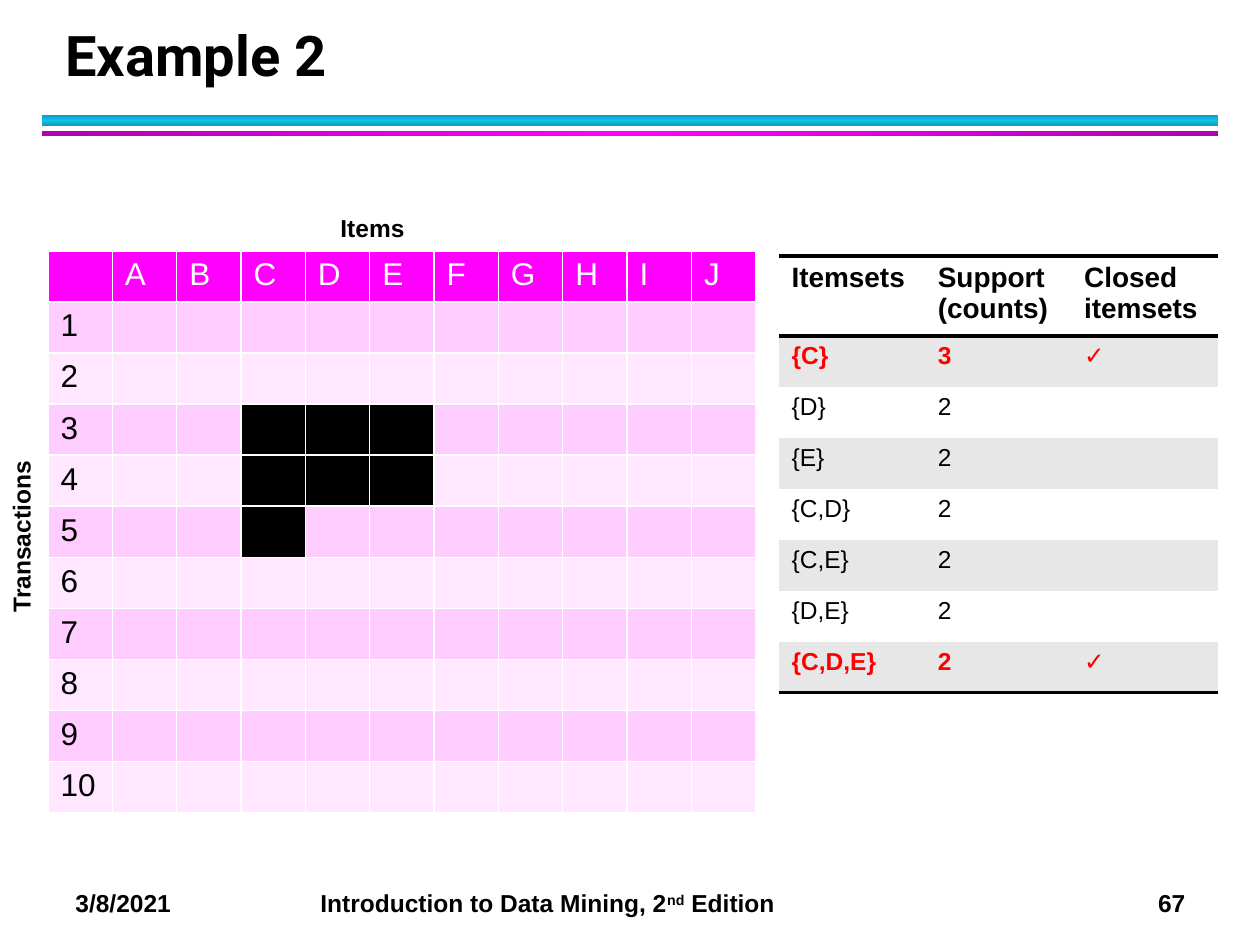
from lxml.etree import SubElement
from pptx import Presentation
from pptx.dml.color import RGBColor
from pptx.enum.shapes import MSO_SHAPE
from pptx.enum.text import MSO_ANCHOR
from pptx.oxml.ns import qn
from pptx.util import Pt

PX = 914400 / 126
NO_STYLE = "{2D5ABB26-0587-4C30-8999-92F81FD0307C}"
BLACK, WHITE, RED = "000000", "FFFFFF", "FF0000"

RULES = [
    ((42, 115, 1176, 11), 90, ("0E9BBA", "12C2E9", "0E9BBA")),
    ((42, 131, 1176, 5), 0, ("B200B2", "FF00FF", "B200B2")),
]
LABELS = [
    ("Items", (328, 207, 97, 50), 0),
    ("Transactions", (-68, 507, 186, 50), 270),
]
FOOTER = [
    ("3/8/2021\tIntroduction to Data Mining, 2", False),
    ("nd", True),
    (" Edition\t67", False),
]
FOOTER_TABS = [(245, "l"), (1110, "r")]

ITEMS = "ABCDEFGHIJ"
TRANSACTIONS = {n: "" for n in range(1, 11)} | {3: "CDE", 4: "CDE", 5: "C"}
GRID_FRAME = (48, 251, 708, 562)

ITEMSETS = [
    ("Itemsets", "Support\n(counts)", "Closed itemsets"),
    ("{C}", "3", "✓"),
    ("{D}", "2", ""),
    ("{E}", "2", ""),
    ("{C,D}", "2", ""),
    ("{C,E}", "2", ""),
    ("{D,E}", "2", ""),
    ("{C,D,E}", "2", "✓"),
]
ITEMSETS_FRAME = (779, 256, 439, 437)
ITEMSETS_HEADER = 80


def color(value):
    return RGBColor.from_string(value)


def emu(*lengths):
    return [round(length * PX) for length in lengths]


def style(frame, size, fill=BLACK, bold=True, font="Arial"):
    for para in frame.paragraphs:
        for span in para.runs:
            span.font.size = Pt(size)
            span.font.name = font
            span.font.bold = bold
            span.font.color.rgb = color(fill)


def add_text(page, text, place, wrap=True):
    box = page.shapes.add_textbox(*emu(*place))
    box.text_frame.text = text
    box.text_frame.word_wrap = wrap
    return box


def add_rule(page, place, angle, colors):
    bar = page.shapes.add_shape(MSO_SHAPE.RECTANGLE, *emu(*place))
    bar.shadow.inherit = False
    bar.line.fill.background()
    bar.fill.gradient()
    bar.fill.gradient_angle = angle
    stops = bar.fill._fill._gradFill.find(qn("a:gsLst"))
    stops.clear()
    for index, value in enumerate(colors):
        stop = SubElement(stops, qn("a:gs"), pos=str(index * 50000))
        SubElement(stop, qn("a:srgbClr"), val=value)


def add_footer(page):
    box = add_text(page, "", (63, 882, 1176, 43))
    para = box.text_frame.paragraphs[0]
    tabs = SubElement(para._p.get_or_add_pPr(), qn("a:tabLst"))
    for position, align in FOOTER_TABS:
        SubElement(tabs, qn("a:tab"), pos=str(emu(position)[0]), algn=align)
    for text, raised in FOOTER:
        span = para.add_run()
        span.text = text
        if raised:
            span.font._element.set("baseline", "30000")
    style(box.text_frame, 14)


def add_plain_table(page, place, rows, columns, header):
    left, top, width, height = place
    table = page.shapes.add_table(rows, columns, *emu(*place)).table
    table.first_row = table.horz_banding = False
    table._tbl.tblPr.find(qn("a:tableStyleId")).text = NO_STYLE
    for column in table.columns:
        column.width = emu(width / columns)[0]
    for index, row in enumerate(table.rows):
        row.height = emu(header if index == 0 else (height - header) / (rows - 1))[0]
    return table


def paint(cell, fill, borders):
    props = cell._tc.get_or_add_tcPr()
    for side, (value, points) in borders.items():
        line = SubElement(props, qn(f"a:ln{side}"), w=str(Pt(points)))
        SubElement(SubElement(line, qn("a:solidFill")), qn("a:srgbClr"), val=value)
    cell.fill.solid()
    cell.fill.fore_color.rgb = color(fill)


def add_grid(page):
    rows, columns = len(TRANSACTIONS) + 1, len(ITEMS) + 1
    table = add_plain_table(page, GRID_FRAME, rows, columns, GRID_FRAME[3] / rows)
    for row in range(rows):
        band = "FF00FF" if row == 0 else "FFCCFF" if row % 2 else "FFE7FF"
        for column in range(columns):
            item = ITEMS[column - 1] if column else ""
            bought = row and item and item in TRANSACTIONS[row]
            cell = table.cell(row, column)
            paint(cell, BLACK if bought else band, {side: (WHITE, 1) for side in "LRTB"})
            if row == 0 or column == 0:
                cell.text_frame.text = item if row == 0 else str(row)
                style(cell.text_frame, 18, BLACK if row else WHITE, bold=False)


def add_itemsets(page):
    last = len(ITEMSETS) - 1
    table = add_plain_table(page, ITEMSETS_FRAME, last + 1, len(ITEMSETS[0]), ITEMSETS_HEADER)
    for row, values in enumerate(ITEMSETS):
        closed = values[-1] == "✓"
        borders = {"T": (BLACK, 2)} if row == 0 else {}
        if row in (0, last):
            borders["B"] = (BLACK, 2)
        for column, value in enumerate(values):
            cell = table.cell(row, column)
            paint(cell, "E7E7E7" if row % 2 else WHITE, borders)
            cell.text_frame.text = value
            style(cell.text_frame, 14 if row else 16, RED if closed else BLACK, closed or row == 0)


def main():
    deck = Presentation()
    deck.slide_width, deck.slide_height = emu(1260, 945)
    page = deck.slides.add_slide(deck.slide_layouts[6])
    for place, angle, colors in RULES:
        add_rule(page, place, angle, colors)
    add_footer(page)
    title = add_text(page, "Example 2", (53, 21, 1142, 73))
    title.text_frame.vertical_anchor = MSO_ANCHOR.BOTTOM
    title.text_frame.paragraphs[0].line_spacing = Pt(36)
    style(title.text_frame, 32, font="Roboto")
    add_grid(page)
    for text, place, turn in LABELS:
        label = add_text(page, text, place, wrap=False)
        label.rotation = turn
        style(label.text_frame, 14)
    add_itemsets(page)
    deck.save("out.pptx")


if __name__ == "__main__":
    main()
